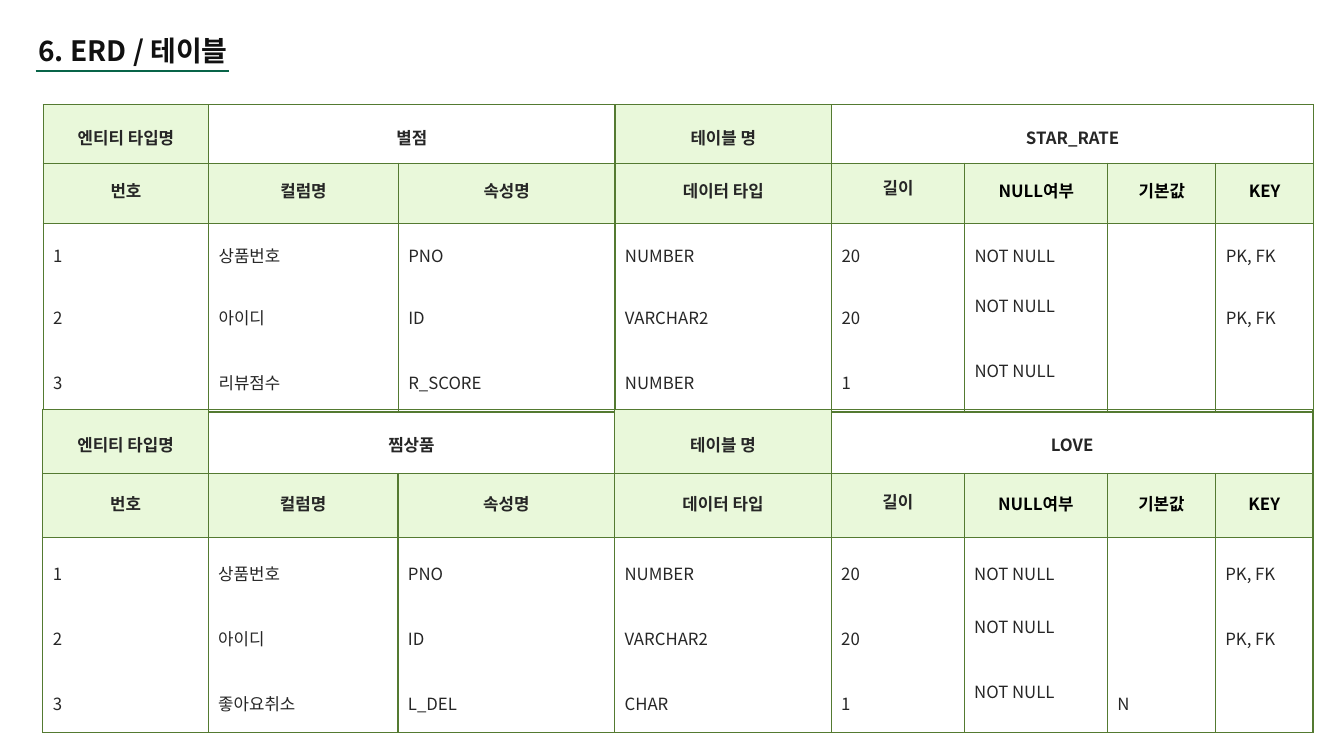
from dataclasses import dataclass
from lxml import etree
from pptx import Presentation
from pptx.dml.color import RGBColor
from pptx.enum.shapes import MSO_CONNECTOR
from pptx.enum.text import MSO_ANCHOR, MSO_AUTO_SIZE, PP_ALIGN
from pptx.oxml.ns import qn
from pptx.util import Cm, Pt

LINE = MSO_CONNECTOR.STRAIGHT
TOP, MID, LOW = MSO_ANCHOR.TOP, MSO_ANCHOR.MIDDLE, MSO_ANCHOR.BOTTOM
LEFT, CENTER = PP_ALIGN.LEFT, PP_ALIGN.CENTER
NO_FIT = MSO_AUTO_SIZE.NONE


@dataclass
class Theme:
    face: str = "Noto Sans CJK KR"
    title: str = "111111"
    text: str = "262626"
    dark: str = "000000"
    head: str = "E9F8DA"
    body: str = "FFFFFF"
    grid: str = "547A31"
    rule: str = "086448"
    big: int = 20
    small: int = 12


theme = Theme()


def style(frame, size, color, bold, align):
    par = frame.paragraphs[0]
    par.alignment = align
    for run in par.runs:
        font = run.font
        font.size, font.bold, font.name = Pt(size), bold, theme.face
        font.color.rgb = RGBColor.from_string(color)
        east = etree.SubElement(run._r.get_or_add_rPr(), qn("a:ea"))
        east.set("typeface", theme.face)


def border(cell, shown):
    props = cell._tc.get_or_add_tcPr()
    for side in "LRTB":
        edge = etree.SubElement(props, qn("a:ln" + side), w=str(Pt(1)))
        if side in shown:
            fill = etree.SubElement(edge, qn("a:solidFill"))
            etree.SubElement(fill, qn("a:srgbClr"), val=theme.grid)
        else:
            etree.SubElement(edge, qn("a:noFill"))


deck = Presentation()
deck.slide_width, deck.slide_height = Cm(33.87), Cm(19.05)
slide = deck.slides.add_slide(deck.slide_layouts[5])

# Title and its rule
title = slide.shapes.title
title.left, title.top, title.width, title.height = Cm(0.71), Cm(0.71), Cm(5.79), Cm(1.12)
frame = title.text_frame
frame.text = "6. ERD / 테이블"
frame.word_wrap, frame.auto_size, frame.vertical_anchor = True, NO_FIT, MID
style(frame, theme.big, theme.title, True, LEFT)

rule = slide.shapes.add_connector(LINE, Cm(0.9), Cm(1.8), Cm(5.78), Cm(1.8))
rule.line.color.rgb = RGBColor.from_string(theme.rule)
rule.line.width = Pt(1.5)
etree.SubElement(rule._element.spPr, qn("a:effectLst"))

# Entity data
widths = [4.17, 4.78, 5.46, 5.46, 3.35, 3.61, 2.72, 2.46]
heads = ["번호", "컬럼명", "속성명", "데이터 타입", "길이", "NULL여부", "기본값", "KEY"]
shared = [
    ["1", "상품번호", "PNO", "NUMBER", "20", "NOT NULL", "", "PK, FK"],
    ["2", "아이디", "ID", "VARCHAR2", "20", "NOT NULL", "", "PK, FK"],
]
stars = ["3", "리뷰점수", "R_SCORE", "NUMBER", "1", "NOT NULL", "", ""]
likes = ["3", "좋아요취소", "L_DEL", "CHAR", "1", "NOT NULL", "N", ""]
tables = [
    (1.09, 2.64, [1.47, 1.52, 1.45, 1.65, 1.65], "별점", "STAR_RATE", stars),
    (1.08, 10.31, [1.62, 1.62, 1.61, 1.65, 1.65], "찜상품", "LOVE", likes),
]

# Entity tables
for left, top, heights, entity, name, last in tables:
    rows = [["엔티티 타입명", entity, "", "테이블 명", name, "", "", ""], heads, *shared, last]
    grid = slide.shapes.add_table(len(rows), len(widths), Cm(left), Cm(top),
                                  Cm(sum(widths)), Cm(sum(heights))).table
    grid.first_row = grid.horz_banding = False
    for col, width in zip(grid.columns, widths):
        col.width = Cm(width)
    for row, height in zip(grid.rows, heights):
        row.height = Cm(height)
    grid.cell(0, 1).merge(grid.cell(0, 2))
    grid.cell(0, 4).merge(grid.cell(0, 7))

    for r, row in enumerate(rows):
        for c, text in enumerate(row):
            cell = grid.cell(r, c)
            body = r > 1
            # Body rows have no lines between them
            shown = "LR" + "T" * (r <= 2) + "B" * (r < 2 or r == 4)
            border(cell, shown)
            if r == 1 or r == 0 and c in (0, 3):
                cell.fill.solid()
                cell.fill.fore_color.rgb = RGBColor.from_string(theme.head)
            elif body and c < 4:
                cell.fill.solid()
                cell.fill.fore_color.rgb = RGBColor.from_string(theme.body)
            else:
                cell.fill.background()
            cell.margin_left = cell.margin_right = Cm(0.25)
            cell.margin_top = Cm(0 if r == 1 else 0.3)
            cell.margin_bottom = Cm(0.13)
            cell.vertical_anchor = MID
            if r == 1 and c == 4:
                cell.vertical_anchor, cell.margin_bottom = LOW, Cm(0.61)
            elif r > 2 and c == 5:
                cell.vertical_anchor = TOP
            if text:
                cell.text_frame.text = text
                color = theme.dark if r == 1 and c > 4 else theme.text
                style(cell.text_frame, theme.small, color, not body, LEFT if body else CENTER)

deck.save("out.pptx")
